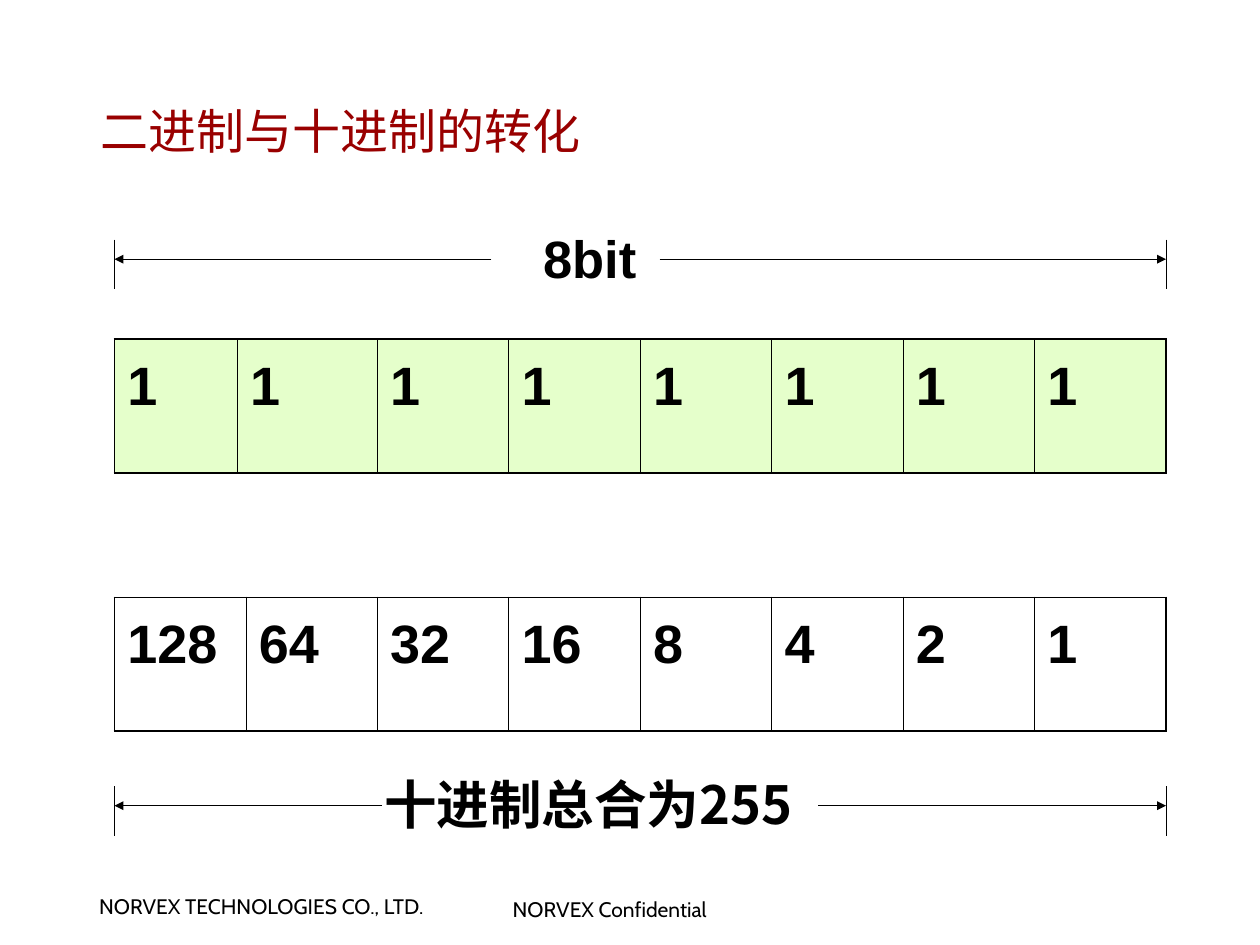
from lxml.etree import SubElement
from pptx import Presentation
from pptx.dml.color import RGBColor
from pptx.enum.shapes import MSO_CONNECTOR
from pptx.enum.text import MSO_ANCHOR, MSO_AUTO_SIZE
from pptx.oxml import parse_xml
from pptx.oxml.ns import nsdecls, qn
from pptx.util import Inches, Pt

SLIDE_WIDTH, SLIDE_HEIGHT = 11.67, 8.75
LEFT, WIDTH = 1.06, 9.74
RIGHT = LEFT + WIDTH
COLUMN = WIDTH / 8
ROW_HEIGHT = 1.24
BLACK, DARK_RED, GREEN = "000000", "990000", "CCFF99"
CHINESE_FONT = "Noto Sans CJK SC"


def color(value):
    return RGBColor.from_string(value)


def write(text_frame, text, size=36, font="Arial", fill=BLACK, bold=False):
    """Put one formatted line of text in a frame and return its paragraph."""
    paragraph = text_frame.paragraphs[0]
    run = paragraph.add_run()
    run.text = text
    run.font.size = Pt(size)
    run.font.name = font
    run.font.bold = bold
    run.font.color.rgb = color(fill)
    SubElement(run.font._element, qn("a:ea"), typeface=CHINESE_FONT)
    return paragraph


def add_text(slide, box, text, wrap=True, insets=(0.1, 0.05), anchor=MSO_ANCHOR.TOP,
             auto_size=MSO_AUTO_SIZE.SHAPE_TO_FIT_TEXT, **text_format):
    shape = slide.shapes.add_textbox(*map(Inches, box))
    frame = shape.text_frame
    frame.word_wrap = wrap
    frame.auto_size = auto_size
    frame.vertical_anchor = anchor
    frame.margin_left = frame.margin_right = Inches(insets[0])
    frame.margin_top = frame.margin_bottom = Inches(insets[1])
    write(frame, text, **text_format)


def add_line(slide, start, end, arrow=False):
    line = slide.shapes.add_connector(MSO_CONNECTOR.STRAIGHT, *map(Inches, (*start, *end)))
    line.line.color.rgb = color(BLACK)
    line.line.width = Pt(0.75)
    if arrow:
        SubElement(line.line._get_or_add_ln(), qn("a:tailEnd"), type="triangle")
    SubElement(line._element.spPr, qn("a:effectLst"))


def set_borders(cell, widths):
    """Draw the left, right, top and bottom borders, ahead of the cell fill."""
    properties = cell._tc.get_or_add_tcPr()
    for index, (side, width) in enumerate(zip("LRTB", widths)):
        properties.insert(index, parse_xml(
            f'<a:ln{side} {nsdecls("a")} w="{Pt(width)}"><a:solidFill>'
            f'<a:srgbClr val="{BLACK}"/></a:solidFill></a:ln{side}>'))


def add_bit_row(slide, top, values, columns, fill=None):
    box = map(Inches, (LEFT, top, WIDTH, ROW_HEIGHT))
    table = slide.shapes.add_table(1, len(values), *box).table
    table.first_row = table.horz_banding = False
    last = len(values) - 1
    for index, (value, width) in enumerate(zip(values, columns)):
        table.columns[index].width = Inches(width)
        cell = table.cell(0, index)
        cell.margin_left = cell.margin_right = Inches(0.12)
        if fill:
            cell.fill.solid()
            cell.fill.fore_color.rgb = color(fill)
            tint = cell._tc.tcPr.find(".//" + qn("a:srgbClr"))
            SubElement(tint, qn("a:alpha"), val="50000")
        else:
            cell.fill.background()
        set_borders(cell, (1.08 if index == 0 else 0.45,
                           1.08 if index == last else 0.45, 1.08, 1.08))
        paragraph = write(cell.text_frame, str(value), bold=True)
        paragraph.line_spacing = 1.2
        paragraph.space_after = Pt(9)


def add_span(slide, top, gap, label_box, label, font):
    """Measure the full row: end ticks, two outward arrows and a label."""
    middle = top + 0.18
    for side, inner in zip((RIGHT, LEFT), reversed(gap)):
        add_line(slide, (side, top), (side, top + 0.46))
        add_line(slide, (inner, middle), (side, middle), arrow=True)
    label_left, label_width = label_box
    add_text(slide, (label_left, top - 0.19, label_width, 0.7), label,
             insets=(0.12, 0.06), size=35, font=font, bold=True)


def add_footer(slide):
    for box, text in (((0.82, 8.22, 3.37, 0.33), "NORVEX TECHNOLOGIES CO., LTD."),
                      ((4.65, 8.25, 2.18, 0.33), "NORVEX Confidential")):
        add_text(slide, box, text, wrap=False, size=14, font="Cabin")


def main():
    presentation = Presentation()
    presentation.slide_width = Inches(SLIDE_WIDTH)
    presentation.slide_height = Inches(SLIDE_HEIGHT)
    slide = presentation.slides.add_slide(presentation.slide_layouts[6])

    # Footer and title
    add_footer(slide)
    add_text(slide, (0.83, 0.81, 8.74, 0.8), "二进制与十进制的转化",
             anchor=MSO_ANCHOR.MIDDLE, auto_size=MSO_AUTO_SIZE.NONE,
             size=32, font="Cabin", fill=DARK_RED)

    # Bits and the decimal weight of each
    add_bit_row(slide, 3.14, [1] * 8,
                [COLUMN - 0.08, COLUMN + 0.08] + [COLUMN] * 6, fill=GREEN)
    add_bit_row(slide, 5.53, [2 ** power for power in reversed(range(8))], [COLUMN] * 8)

    # Spans below and above the rows
    add_span(slide, 7.28, (3.54, 7.58), (3.44, 4.5), "十进制总合为255", CHINESE_FONT)
    add_span(slide, 2.22, (4.55, 6.11), (4.91, 1.2), "8bit", "Arial")

    presentation.save("out.pptx")


if __name__ == "__main__":
    main()
